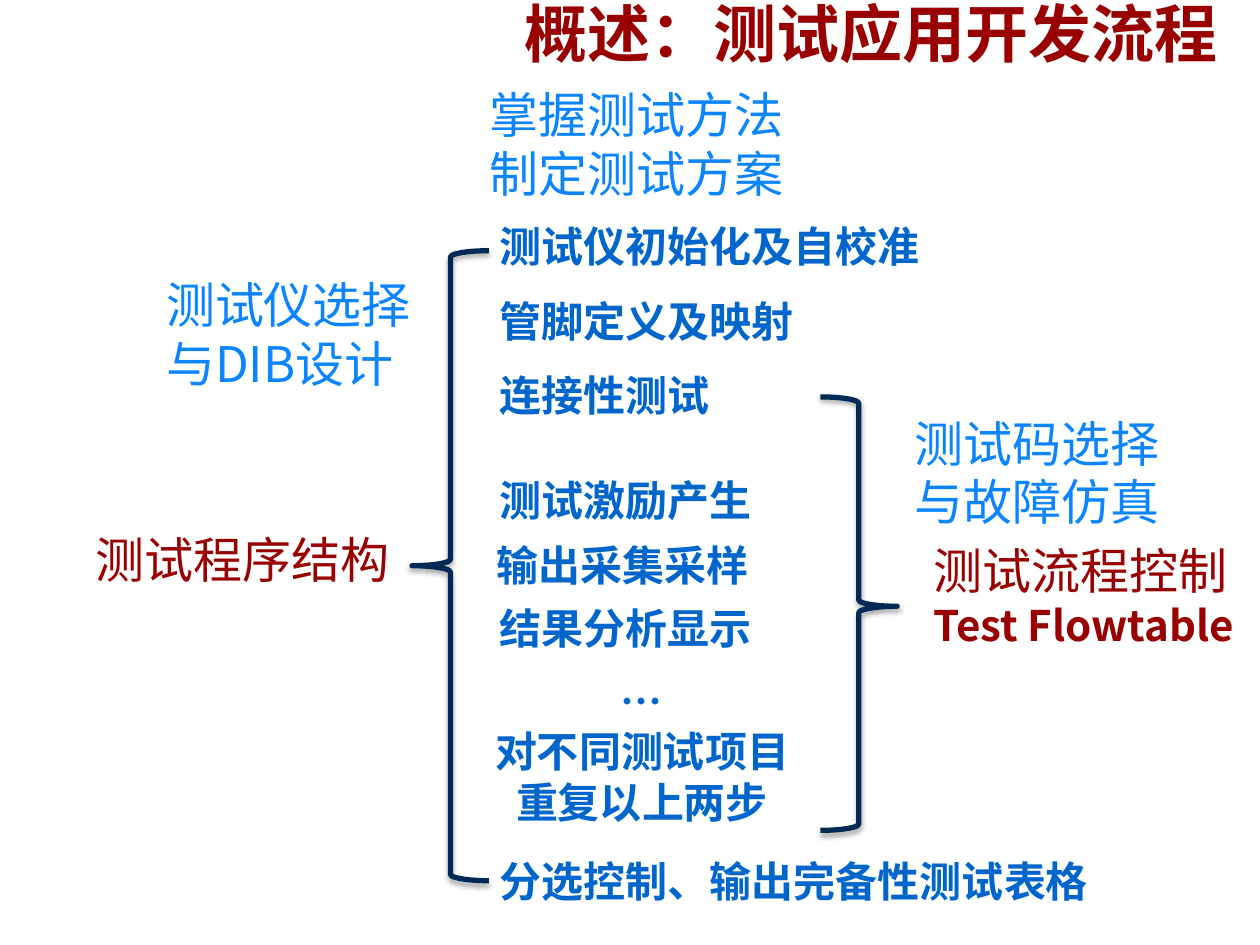
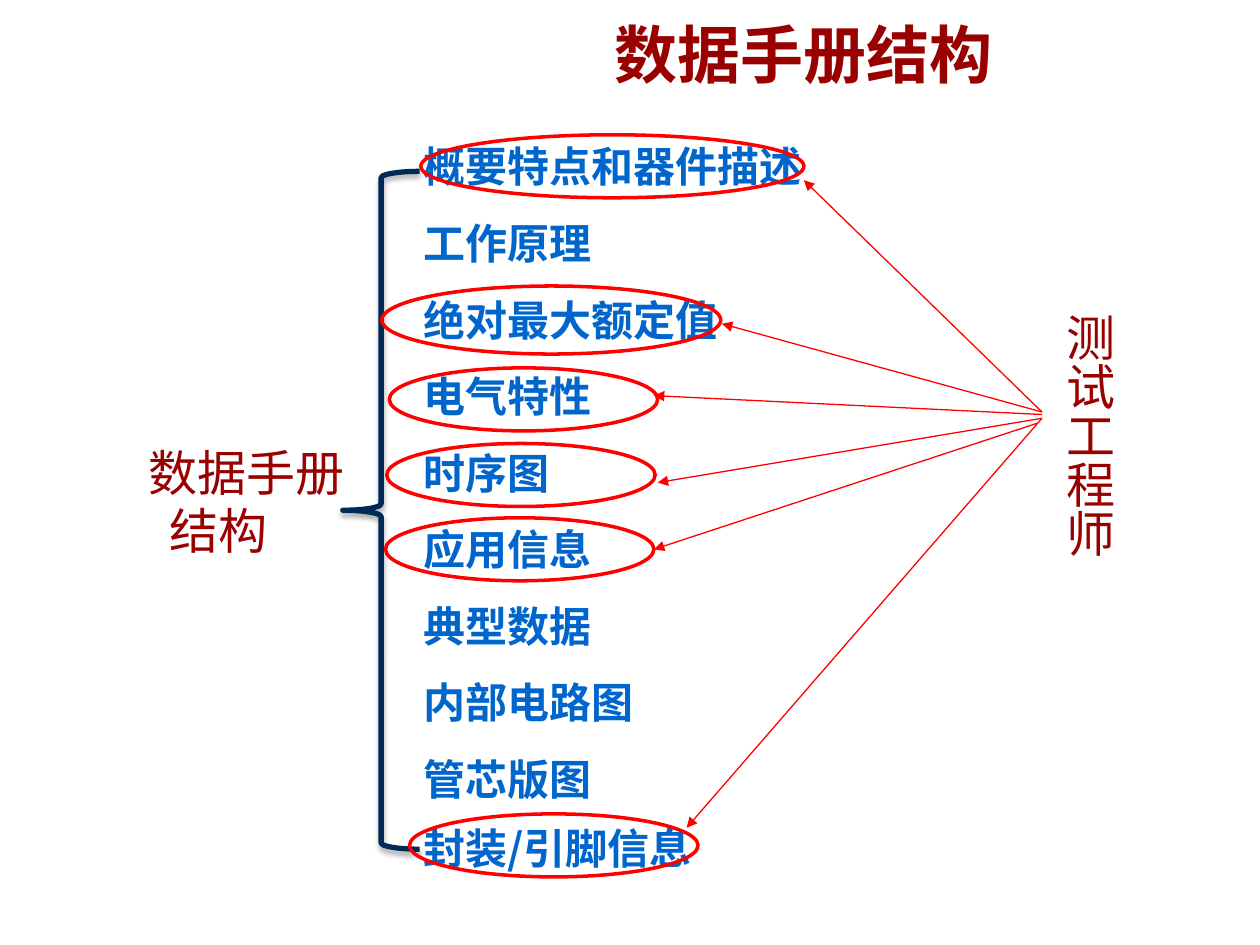
from pptx import Presentation
from pptx.dml.color import RGBColor
from pptx.enum.shapes import MSO_CONNECTOR, MSO_SHAPE
from pptx.enum.text import MSO_ANCHOR, MSO_AUTO_SIZE, PP_ALIGN
from pptx.oxml import parse_xml
from pptx.oxml.ns import nsdecls, qn
from pptx.util import Inches, Pt
from lxml.etree import SubElement

DARK_RED = RGBColor(0x99, 0x00, 0x00)
ITEM_BLUE = RGBColor(0x00, 0x66, 0xCC)
NOTE_BLUE = RGBColor(0x0A, 0x85, 0xFF)
NAVY = RGBColor(0x00, 0x2A, 0x56)
RED = RGBColor(0xFF, 0x00, 0x00)

TITLE_FONT = "Comic Neue"
BODY_FONT = "Noto Sans CJK SC"
ITEM_SIZE = 24
LABEL_SIZE = 28
ITEM_HEIGHT = 0.5
RING_HEIGHT = 0.5


def style_run(run, size, color, bold=False, face=BODY_FONT):
    run.font.size = Pt(size)
    run.font.bold = bold
    run.font.color.rgb = color
    run.font.name = face
    SubElement(run.font._element, qn("a:ea")).set("typeface", face)


def add_title(slide, text, left, top, width):
    title = slide.shapes.title
    title.left, title.top = Inches(left), Inches(top)
    title.width, title.height = Inches(width), Inches(0.93)
    frame = title.text_frame
    frame.text = text
    frame.auto_size = MSO_AUTO_SIZE.NONE
    frame.vertical_anchor = MSO_ANCHOR.MIDDLE
    heading = frame.paragraphs[0]
    heading.alignment = PP_ALIGN.CENTER
    heading.line_spacing = 0.9
    style_run(heading.runs[0], 36, DARK_RED, True, TITLE_FONT)


def add_text(slide, text, left, top, width, height, size, color, bold=False, align=None):
    box = slide.shapes.add_textbox(Inches(left), Inches(top), Inches(width), Inches(height))
    frame = box.text_frame
    frame.word_wrap = True
    frame.text = text
    for paragraph in frame.paragraphs:
        paragraph.alignment = align
        for run in paragraph.runs:
            style_run(run, size, color, bold)
    return frame


def add_item(slide, text, left, top, width=5.23):
    add_text(slide, text, left, top, width, ITEM_HEIGHT, ITEM_SIZE, ITEM_BLUE, True)


def add_label(slide, text, left, top, width, color, height=1.04):
    return add_text(slide, text, left, top, width, height, LABEL_SIZE, color)


def add_outline(slide, kind, left, top, width, height, color, weight):
    outline = slide.shapes.add_shape(kind, Inches(left), Inches(top), Inches(width), Inches(height))
    outline.shadow.inherit = False
    outline.fill.background()
    outline.line.color.rgb = color
    outline.line.width = Pt(weight)
    return outline


def add_brace(slide, left, top, height):
    brace = add_outline(slide, MSO_SHAPE.LEFT_BRACE, left, top, 0.61, height, NAVY, 3)
    brace._element.spPr.find(qn("a:effectLst")).append(parse_xml(
        f'<a:outerShdw {nsdecls("a")} blurRad="{Pt(3.1)}" dist="{Pt(1.8)}" dir="5400000" '
        'rotWithShape="0"><a:srgbClr val="000000"><a:alpha val="35000"/></a:srgbClr></a:outerShdw>'))
    return brace


def add_arrow(slide, start, tip):
    arrow = slide.shapes.add_connector(
        MSO_CONNECTOR.STRAIGHT, *(Inches(value) for value in (*start, *tip)))
    arrow.line.color.rgb = RED
    arrow.line.width = Pt(0.75)
    SubElement(arrow.line._get_or_add_ln(), qn("a:tailEnd")).set("type", "triangle")
    SubElement(arrow._element.spPr, qn("a:effectLst"))


def program_structure(slide, left, top):
    add_label(slide, "测试程序结构", left, top + 2.45, 3.07, DARK_RED, 0.57)
    add_brace(slide, left + 2.61, top + 0.29, 5)
    steps = [
        ("测试仪初始化及自校准", 0),
        ("管脚定义及映射", 0.6),
        ("连接性测试", 1.18),
        ("测试激励产生", 2.02),
        ("结果分析显示", 3.03),
        ("分选控制、输出完备性测试表格", 5.04),
    ]
    for step, offset in steps:
        add_item(slide, step, left + 3.21, top + offset)
    add_item(slide, "输出采集采样", left + 3.18, top + 2.53)
    add_text(slide, "…\n对不同测试项目重复以上两步", left + 3.08, top + 3.61, 2.71, 1.31,
             ITEM_SIZE, ITEM_BLUE, True, PP_ALIGN.CENTER)


def flow_control(slide, left, top):
    brace = add_brace(slide, left, top, 3.44)
    brace.rotation = 180
    brace.adjustments[1] = 0.517
    label = add_label(slide, "测试流程控制\nTest Flowtable", left + 0.8, top + 1.09, 3.16, DARK_RED, 0.98)
    flowtable = label.paragraphs[1].runs[0]
    flowtable.font.size = Pt(ITEM_SIZE)
    flowtable.font.bold = True


def preparation_notes(slide):
    add_label(slide, "测试仪选择\n与DIB设计", 1.22, 2.13, 2.25, NOTE_BLUE)
    add_label(slide, "掌握测试方法制定测试方案", 3.79, 0.62, 2.74, NOTE_BLUE)
    add_label(slide, "测试码选择\n与故障仿真", 7.16, 3.23, 2.72, NOTE_BLUE)


def datasheet_sections(slide, left, top):
    label = add_label(slide, "数据手册\n结构", left, top + 2.39, 1.84, DARK_RED)
    label.paragraphs[1]._p.get_or_add_pPr().set("marL", str(Inches(0.17)))
    add_brace(slide, left + 1.64, top + 0.29, 5.38)
    sections = ["概要特点和器件描述", "工作原理", "绝对最大额定值", "电气特性", "时序图",
                "应用信息", "典型数据", "内部电路图", "管芯版图"]
    for row, section in enumerate(sections):
        add_item(slide, section, left + 2.18, top + row * 0.6075, 3.84)
    add_item(slide, "封装/引脚信息", left + 2.18, top + 5.41, 3.84)


def engineer_focus(slide, left, top):
    rings = [
        (0.31, 0, 3.04, RING_HEIGHT),
        (0, 1.2, 2.69, 0.54),
        (0.06, 1.85, 2.13, RING_HEIGHT),
        (0.04, 2.45, 2.13, RING_HEIGHT),
        (0.03, 3.04, 2.13, RING_HEIGHT),
        (0.22, 5.39, 2.29, RING_HEIGHT),
    ]
    arrows = [
        (5.24, 2.2, 3.35, 0.36),
        (5.24, 2.2, 2.7, 1.5),
        (5.24, 2.22, 2.16, 2.07),
        (5.24, 2.25, 2.19, 2.76),
        (5.2, 2.29, 2.16, 3.29),
        (5.24, 2.25, 2.42, 5.5),
    ]
    for x, y, width, height in rings:
        add_outline(slide, MSO_SHAPE.OVAL, left + x, top + y, width, height, RED, 2)
    for start_x, start_y, tip_x, tip_y in arrows:
        add_arrow(slide, (left + start_x, top + start_y), (left + tip_x, top + tip_y))
    engineer = add_label(slide, "测试工程师", left + 5.23, top + 1.32, 0.67, DARK_RED, 2.22)
    engineer._txBody.bodyPr.set("vert", "eaVert")


def development_flow_slide(slide):
    add_title(slide, "概述：测试应用开发流程", 3.57, -0.17, 6.69)
    program_structure(slide, 0.66, 1.7)
    flow_control(slide, 6.51, 3.15)
    preparation_notes(slide)


def datasheet_slide(slide):
    add_title(slide, "数据手册结构", 2.76, 0, 7.24)
    datasheet_sections(slide, 1.08, 1.07)
    engineer_focus(slide, 3.03, 1.07)


def main():
    deck = Presentation()
    deck.slide_width, deck.slide_height = Inches(10), Inches(7.5)
    title_only = deck.slide_layouts[5]
    for build in (development_flow_slide, datasheet_slide):
        build(deck.slides.add_slide(title_only))
    deck.save("out.pptx")


if __name__ == "__main__":
    main()
